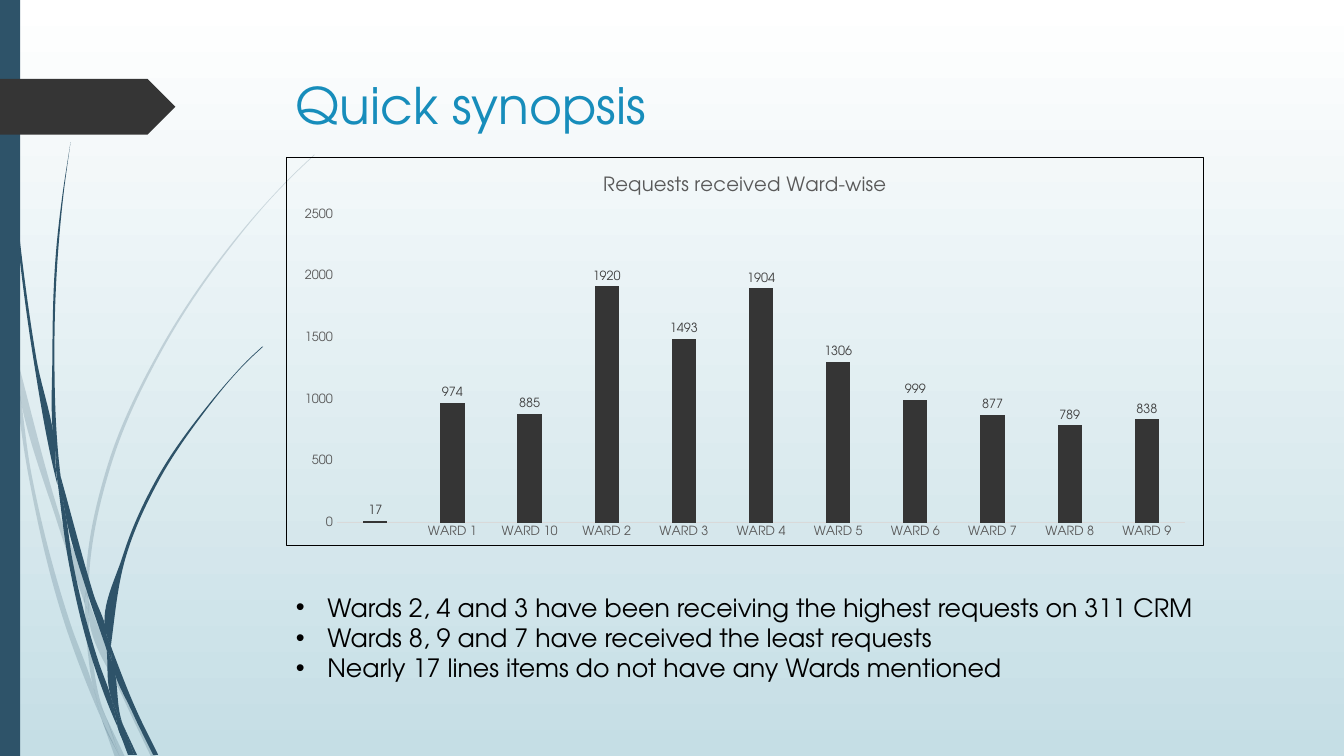
from math import hypot

from lxml import etree
from pptx import Presentation
from pptx.chart.data import CategoryChartData
from pptx.dml.color import RGBColor
from pptx.enum.chart import XL_CHART_TYPE, XL_LABEL_POSITION, XL_TICK_MARK
from pptx.enum.shapes import MSO_SHAPE
from pptx.oxml import parse_xml
from pptx.oxml.ns import nsdecls, qn
from pptx.util import Pt

COLUMNS = XL_CHART_TYPE.COLUMN_CLUSTERED
OUTSIDE_END = XL_LABEL_POSITION.OUTSIDE_END
NO_TICK = XL_TICK_MARK.NONE
RECT, PENTAGON = MSO_SHAPE.RECTANGLE, MSO_SHAPE.PENTAGON
FONT = "TeX Gyre Adventor"
BLUE, DARK, GREY = "2E5369", "353535", "595959"


def rgb(value):
    return RGBColor.from_string(value)


def curve_outline(sp):
    """Turn the straight sides of a closed freeform into curves, keeping sharp corners."""
    sides = list(sp._element.iter(qn("a:lnTo")))
    nodes = [complex(int(n[0].get("x")), int(n[0].get("y"))) for n in sides]
    count = len(nodes)
    tangents = []
    for i, node in enumerate(nodes):
        before, after = node - nodes[i - 1], nodes[(i + 1) % count] - node
        bend = (before.conjugate() * after).real / (abs(before) * abs(after))
        along = before / abs(before) * abs(after) + after / abs(after) * abs(before)
        tangents.append(along / abs(along) if bend > 0.8 else None)
    for i, side in enumerate(sides):
        start, end = nodes[i - 1], nodes[i]
        chord = end - start
        reach = hypot(chord.real, chord.imag) / 3
        leave, arrive = (chord / 3 if t is None else t * reach
                         for t in (tangents[i - 1], tangents[i]))
        side.tag = qn("a:cubicBezTo")
        for k, point in enumerate((start + leave, end - arrive)):
            side.insert(k, etree.Element(qn("a:pt"), x=str(round(point.real)),
                                         y=str(round(point.imag))))


prs = Presentation()
prs.slide_width, prs.slide_height = Pt(960), Pt(540)
s = prs.slides.add_slide(prs.slide_layouts[6])

# Background: white at the top to pale blue
bg = s.background.fill
bg.gradient()
bg.gradient_angle = 270
for stop, position, color in zip(bg.gradient_stops, (0, 1), ("FFFFFF", "C5DEE5")):
    stop.position = position
    stop.color.rgb = rgb(color)

# Grass: outline nodes of each piece, in 1/100 inch
pale_grass = [
    [(11, 350), (9, 322), (0, 282), (0, 299), (10, 344)],
    [(58, 522), (84, 599), (85, 586), (62, 520), (14, 345), (17, 376)],
    [(92, 607), (88, 596), (88, 610), (123, 694), (150, 751), (155, 751), (127, 692)],
    [(119, 751), (124, 751), (105, 711)],
    [(93, 683), (70, 619), (31, 469), (17, 376), (11, 350), (28, 470), (65, 621),
     (92, 693), (101, 714), (99, 707)],
    [(84, 599), (87, 646), (93, 683), (96, 692), (105, 711), (103, 706), (91, 646),
     (88, 610), (88, 608)],
    [(88, 584), (110, 462), (160, 349), (229, 245), (268, 198), (290, 175), (312, 154),
     (312, 153), (289, 175), (268, 197), (228, 244), (158, 348), (107, 461), (85, 584),
     (85, 586), (88, 596)],
    [(101, 714), (114, 751), (119, 751)],
    [(88, 608), (88, 610), (88, 596), (85, 586), (84, 599)],
    [(96, 692), (93, 683), (99, 707), (101, 714), (119, 751), (105, 711)],
]
dark_grass = [
    [(7, 110), (17, 233), (33, 355), (56, 477), (57, 481), (55, 457), (55, 453),
     (36, 355), (19, 232), (8, 109), (5, 48), (4, 0), (3, 0), (4, 48)],
    [(88, 592), (106, 645), (106, 633), (106, 631), (93, 590), (60, 472), (64, 505)],
    [(113, 649), (110, 641), (111, 656), (132, 708), (152, 749), (157, 749), (136, 706)],
    [(110, 691), (98, 657), (72, 556), (64, 505), (57, 477), (68, 557), (93, 659),
     (111, 708), (117, 722), (116, 717)],
    [(60, 472), (58, 453), (54, 349), (58, 245), (63, 193), (70, 141), (62, 193),
     (56, 245), (52, 349), (55, 449)],
    [(133, 749), (136, 749), (122, 719)],
    [(57, 477), (64, 505), (60, 472), (55, 449), (55, 453)],
    [(111, 633), (125, 552), (158, 476), (205, 406), (231, 374), (245, 359), (261, 344),
     (260, 344), (245, 358), (231, 373), (204, 405), (156, 474), (122, 551), (106, 631),
     (110, 641)],
    [(117, 722), (127, 749), (131, 749)],
    [(106, 645), (110, 691), (116, 706), (122, 719), (121, 716), (111, 656), (109, 651)],
    [(106, 645), (109, 651), (111, 656), (110, 641), (106, 631), (106, 633)],
    [(116, 706), (110, 691), (116, 717), (117, 722), (130, 749), (133, 749), (122, 719)],
]
for opacity, pieces in ((20, pale_grass), (100, dark_grass)):
    for nodes in pieces:
        builder = s.shapes.build_freeform(*nodes[0], scale=Pt(0.72))
        builder.add_line_segments(nodes[1:] + nodes[:1])
        sp = builder.convert_to_shape()
        # Finer path units, so that the curves are smooth
        outline = sp._element.find(".//" + qn("a:path"))
        for node in [outline, *outline.iter(qn("a:pt"))]:
            for key, value in node.items():
                node.set(key, str(int(value) * 100))
        curve_outline(sp)
        sp.shadow.inherit = False
        sp.fill.solid()
        sp.fill.fore_color.rgb = rgb(BLUE)
        sp.line.fill.background()
        if opacity < 100:
            color = sp.fill._xPr.find(".//" + qn("a:srgbClr"))
            etree.SubElement(color, qn("a:alpha"), val=str(opacity * 1000))

# Side band and arrow tab
for kind, top, width, height, color in ((RECT, 0, 14.4, 540, BLUE),
                                        (PENTAGON, 56.4, 125.3, 39.8, DARK)):
    sp = s.shapes.add_shape(kind, 0, Pt(top), Pt(width), Pt(height))
    sp.shadow.inherit = False
    sp.fill.solid()
    sp.fill.fore_color.rgb = rgb(color)
    sp.line.fill.background()

# Chart
wards = ["1", "10", "2", "3", "4", "5", "6", "7", "8", "9"]
data = CategoryChartData()
data.categories = [" "] + [f"WARD {n}" for n in wards]
data.add_series("Series 1", (17, 974, 885, 1920, 1493, 1904, 1306, 999, 877, 789, 838))
chart = s.shapes.add_chart(COLUMNS, Pt(204.1), Pt(112.3), Pt(656.2), Pt(277.5), data).chart
chart.font.name, chart.font.size = FONT, Pt(10)
chart.has_legend = False
chart.has_title = True
tf = chart.chart_title.text_frame
tf.text = "Requests received Ward-wise"
font = tf.paragraphs[0].runs[0].font
font.name, font.size, font.bold = FONT, Pt(14), False
font.color.rgb = rgb(GREY)
chart.chart_title.include_in_layout = False

for axis in (chart.category_axis, chart.value_axis):
    axis.has_major_gridlines = False
    axis.major_tick_mark = axis.minor_tick_mark = NO_TICK
    font = axis.tick_labels.font
    font.name, font.size = FONT, Pt(9)
    font.color.rgb = rgb(GREY)
line = chart.category_axis.format.line
line.color.rgb, line.width = rgb("D9D9D9"), Pt(0.75)
axis = chart.value_axis
axis.format.line.fill.background()
axis.minimum_scale, axis.maximum_scale, axis.major_unit = 0, 2500, 500

plot = chart.plots[0]
plot.gap_width, plot.overlap, plot.vary_by_categories = 219, -27, False
fill = plot.series[0].format.fill
fill.solid()
fill.fore_color.rgb = rgb(DARK)
plot.has_data_labels = True
labels = plot.data_labels
labels.show_value, labels.position = True, OUTSIDE_END
labels.font.name, labels.font.size = FONT, Pt(9)
labels.font.color.rgb = rgb("404040")

# Plot area position and chart border
area = chart._chartSpace.chart.plotArea
for old in area.findall(qn("c:layout")):
    area.remove(old)
area.insert(0, parse_xml(
    f'<c:layout {nsdecls("c")}><c:manualLayout><c:layoutTarget val="inner"/>'
    '<c:xMode val="edge"/><c:yMode val="edge"/><c:x val="0.055"/><c:y val="0.147"/>'
    '<c:w val="0.925"/><c:h val="0.795"/></c:manualLayout></c:layout>'))
chart._chartSpace.chart.addnext(parse_xml(
    f'<c:spPr {nsdecls("c", "a")}><a:noFill/><a:ln w="{Pt(0.75)}"><a:solidFill>'
    '<a:srgbClr val="000000"/></a:solidFill></a:ln></c:spPr>'))

# Title and findings
findings = ["Wards 2, 4 and 3 have been receiving the highest requests on 311 CRM",
            "Wards 8, 9 and 7 have received the least requests",
            "Nearly 17 lines items do not have any Wards mentioned"]
for top, width, height, size, color, bulleted, lines in (
        (49.4, 702, 100.8, 36, "178DBB", False, ["Quick synopsis"]),
        (419.4, 655.9, 94.3, 18, "000000", True, findings)):
    tf = s.shapes.add_textbox(Pt(204.2), Pt(top), Pt(width), Pt(height)).text_frame
    tf.word_wrap = True
    tf.text = "\n".join(lines)
    for p in tf.paragraphs:
        font = p.runs[0].font
        font.name, font.size = FONT, Pt(size)
        font.color.rgb = rgb(color)
        if bulleted:
            pPr = p._p.get_or_add_pPr()
            pPr.set("marL", str(Pt(22.5)))
            pPr.set("indent", str(-Pt(22.5)))
            etree.SubElement(pPr, qn("a:buFont"), typeface="Arial")
            etree.SubElement(pPr, qn("a:buChar"), char="•")

prs.save("out.pptx")
